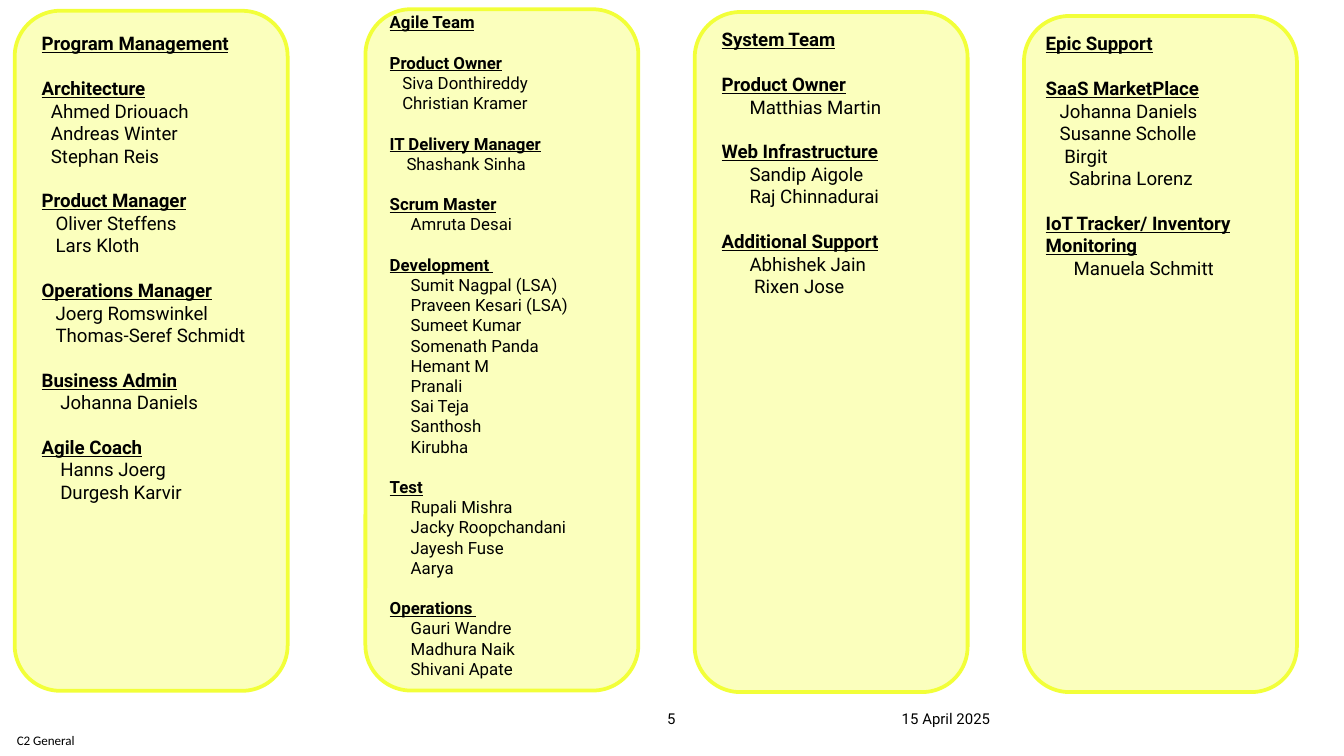
import pptx
import pptx.dml.color
import pptx.enum.shapes
import pptx.enum.text
import pptx.util

Pt = pptx.util.Pt
ALIGN = pptx.enum.text.PP_ALIGN
ANCHOR = pptx.enum.text.MSO_ANCHOR

THEME = {
    "fill": "FBFFBD", "line": "F2FF39", "text": "000000",
    "font": "Roboto", "label_font": "Calibri",
    "line_width": 2, "footer_size": 8, "label_size": 7,
}
CARD_WIDTH = 146.2
INDENT_STEP = 0.25  # of the type size
GROUP_GAP = 1.2     # of the type size

# card: left, top, height; text: left, top, width, height
# groups: heading, then (indent steps, name) for each member
TEAMS = [
    {"card": (7.9, 5.8, 364.3), "text": (22.3, 17.3, 115.9, 257.8), "size": 10,
     "groups": [
         ("Program Management", []),
         ("Architecture", [(2, "Ahmed Driouach"), (2, "Andreas Winter"), (2, "Stephan Reis")]),
         ("Product Manager", [(3, "Oliver Steffens"), (3, "Lars Kloth")]),
         ("Operations Manager", [(3, "Joerg Romswinkel"), (3, "Thomas-Seref Schmidt")]),
         ("Business Admin", [(4, "Johanna Daniels")]),
         ("Agile Coach", [(4, "Hanns Joerg"), (4, "Durgesh Karvir")]),
     ]},
    {"card": (195.8, 5, 365), "text": (208.8, 6.5, 151.2, 300.2), "size": 9,
     "groups": [
         ("Agile Team", []),
         ("Product Owner", [(3, "Siva Donthireddy"), (3, "Christian Kramer")]),
         ("IT Delivery Manager", [(4, "Shashank Sinha")]),
         ("Scrum Master", [(5, "Amruta Desai")]),
         ("Development ", [
             (5, "Sumit Nagpal (LSA)"), (5, "Praveen Kesari (LSA)"), (5, "Sumeet Kumar"),
             (5, "Somenath Panda"), (5, "Hemant M"), (5, "Pranali"),
             (5, "Sai Teja"), (5, "Santhosh"), (5, "Kirubha")]),
         ("Test", [(5, "Rupali Mishra"), (5, "Jacky Roopchandani"),
                   (5, "Jayesh Fuse"), (5, "Aarya")]),
         ("Operations ", [(5, "Gauri Wandre"), (5, "Madhura Naik"), (5, "Shivani Apate")]),
     ]},
    {"card": (372.2, 6.5, 364.3), "text": (386.6, 15.1, 139.7, 281.5), "size": 10,
     "groups": [
         ("System Team", []),
         ("Product Owner", [(6, "Matthias Martin")]),
         ("Web Infrastructure", [(6, "Sandip Aigole"), (6, "Raj Chinnadurai")]),
         ("Additional Support", [(6, "Abhishek Jain"), (7, "Rixen Jose")]),
     ]},
    {"card": (548.6, 8.6, 362.2), "text": (560.2, 17.3, 123.1, 301.7), "size": 10,
     "groups": [
         ("Epic Support", []),
         ("SaaS MarketPlace", [(3, "Johanna Daniels"), (3, "Susanne Scholle"),
                               (4, "Birgit"), (5, "Sabrina Lorenz")]),
         ("IoT Tracker/ Inventory Monitoring", [(6, "Manuela Schmitt")]),
     ]},
]

# text, box, font, size, alignment, anchor
FOOTERS = [
    ("C2 General", (0, 388.1, 49, 16.6), THEME["label_font"], THEME["label_size"],
     ALIGN.CENTER, ANCHOR.MIDDLE),
    ("5", (343.4, 370.8, 32.4, 18.7), THEME["font"], THEME["footer_size"],
     ALIGN.CENTER, ANCHOR.BOTTOM),
    ("15 April 2025", (483.1, 370.8, 167.8, 18.7), THEME["font"], THEME["footer_size"],
     ALIGN.LEFT, ANCHOR.BOTTOM),
]


def color(name):
    return pptx.dml.color.RGBColor.from_string(THEME[name])


def add_text_box(s, box, anchor=ANCHOR.TOP):
    tf = s.shapes.add_textbox(*map(Pt, box)).text_frame
    tf.word_wrap = True
    tf.vertical_anchor = anchor
    tf.margin_left = tf.margin_right = tf.margin_top = tf.margin_bottom = 0
    return tf


def add_run(p, text, font, size, heading=False):
    r = p.add_run()
    r.text = text
    r.font.name = font
    r.font.size = Pt(size)
    r.font.color.rgb = color("text")
    r.font.bold = r.font.underline = heading


def add_card(s, left, top, height):
    sp = s.shapes.add_shape(pptx.enum.shapes.MSO_SHAPE.ROUNDED_RECTANGLE,
                            Pt(left), Pt(top), Pt(CARD_WIDTH), Pt(height))
    sp.shadow.inherit = False
    sp.fill.solid()
    sp.fill.fore_color.rgb = color("fill")
    sp.line.color.rgb = color("line")
    sp.line.width = Pt(THEME["line_width"])


def add_team(s, team):
    add_card(s, *team["card"])
    tf = add_text_box(s, team["text"])
    size = team["size"]
    for i, (heading, members) in enumerate(team["groups"]):
        p = tf.add_paragraph() if i else tf.paragraphs[0]
        if i:
            p.space_before = Pt(GROUP_GAP * size)
        add_run(p, heading, THEME["font"], size, heading=True)
        for steps, name in members:
            p = tf.add_paragraph()
            # python-pptx has no public setting for the left indent
            p._p.get_or_add_pPr().set("marL", str(Pt(steps * INDENT_STEP * size)))
            add_run(p, name, THEME["font"], size)


def main():
    prs = pptx.Presentation()
    prs.slide_width, prs.slide_height = Pt(720), Pt(405)
    s = prs.slides.add_slide(prs.slide_layouts[6])
    for team in TEAMS:
        add_team(s, team)
    for text, box, font, size, align, anchor in FOOTERS:
        p = add_text_box(s, box, anchor).paragraphs[0]
        p.alignment = align
        add_run(p, text, font, size)
    prs.save("out.pptx")


if __name__ == "__main__":
    main()
